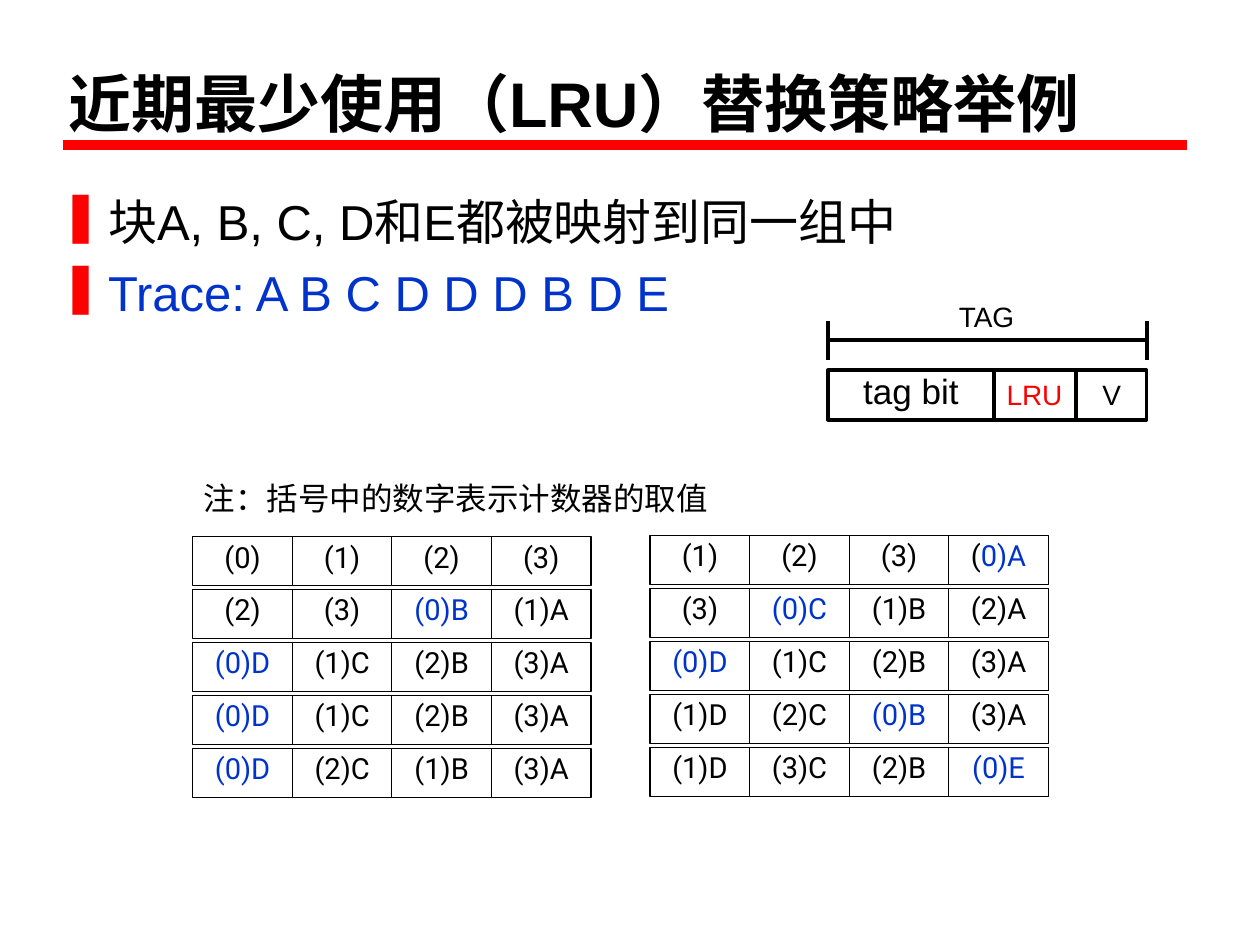
from dataclasses import dataclass

from lxml.etree import SubElement as Sub
from pptx import Presentation
from pptx.dml.color import RGBColor as RGB
from pptx.enum.shapes import MSO_CONNECTOR as Conn, MSO_SHAPE as Shape
from pptx.enum.text import MSO_ANCHOR as Anchor, MSO_AUTO_SIZE as Auto, PP_ALIGN as Align
from pptx.oxml.ns import qn
from pptx.util import Inches, Pt


@dataclass(frozen=True)
class Theme:
    black: str = "000000"
    red: str = "FF0000"
    blue: str = "0033CC"
    latin: str = "Arial"
    han: str = "Noto Sans CJK SC"
    grid: str = "Roboto"
    title: float = 36
    body: float = 28
    big: float = 20
    note: float = 18
    cell: float = 16.6
    small: float = 16


class Pen:
    def __init__(self, slide, theme):
        self.slide, self.theme = slide, theme
        self.home = slide.shapes

    def group(self):
        """Send the next elements into a new group."""
        self.home = self.slide.shapes.add_group_shape().shapes

    def leave(self):
        """Send the next elements straight to the slide."""
        self.home = self.slide.shapes

    def words(self, para, text, size, color=None, font=None, bold=False):
        """Add a styled run to the paragraph."""
        run = para.add_run()
        run.text = text
        look = {"name": font or self.theme.latin, "size": Pt(size), "bold": bold}
        for key, val in look.items():
            setattr(run.font, key, val)
        run.font.color.rgb = RGB.from_string(color or self.theme.black)
        Sub(run.font._element, qn("a:ea"), typeface=self.theme.han)

    def frame(self, shape, **form):
        """Apply the shared text frame settings and return the frame."""
        frame = shape.text_frame
        base = {"word_wrap": True, "auto_size": Auto.NONE, "vertical_anchor": Anchor.TOP}
        for key, val in {**base, **form}.items():
            setattr(frame, key, val)
        return frame

    def title(self, text, box):
        shape = self.slide.shapes.title
        for key, val in zip(("left", "top", "width", "height"), box):
            setattr(shape, key, Inches(val))
        para = self.frame(shape, vertical_anchor=Anchor.BOTTOM).paragraphs[0]
        para.alignment = Align.LEFT
        self.words(para, text, self.theme.title, bold=True)

    def label(self, text, box, size, align=Align.LEFT, **look):
        shape = self.home.add_textbox(*map(Inches, box))
        para = self.frame(shape).paragraphs[0]
        para.alignment = align
        self.words(para, text, size, **look)

    def points(self, items, box):
        """Add a bulleted list of (text, colour) items."""
        frame = self.frame(self.home.add_textbox(*map(Inches, box)))
        for num, (text, color) in enumerate(items):
            para = frame.add_paragraph() if num else frame.paragraphs[0]
            para.alignment, para.space_before = Align.JUSTIFY, Pt(7)
            props = para._p.get_or_add_pPr()
            for key, val in {"marL": 0.38, "indent": -0.38}.items():
                props.set(key, str(Inches(val)))
            tint = Sub(props, qn("a:buClr"))
            Sub(tint, qn("a:srgbClr"), val=self.theme.red)
            Sub(props, qn("a:buChar"), char="❚")
            self.words(para, text, self.theme.body, color)

    def line(self, x1, y1, x2, y2, width=2.25, color=None):
        line = self.home.add_connector(Conn.STRAIGHT, *map(Inches, (x1, y1, x2, y2)))
        line.line.width = Pt(width)
        line.line.color.rgb = RGB.from_string(color or self.theme.black)
        Sub(line._element.spPr, qn("a:effectLst"))

    def rect(self, box, width):
        shape = self.home.add_shape(Shape.RECTANGLE, *map(Inches, box))
        shape.shadow.inherit = False
        shape.fill.background()
        shape.line.width = Pt(width)
        shape.line.color.rgb = RGB.from_string(self.theme.black)
        return shape

    def cell(self, text, box):
        """Draw a cell; the part of its text after * is blue."""
        para = self.frame(self.rect(box, 0.75)).paragraphs[0]
        para.alignment, para.line_spacing = Align.CENTER, 0.9
        plain, _, fresh = text.partition("*")
        for part, color in ((plain, self.theme.black), (fresh, self.theme.blue)):
            if part:
                self.words(para, part, self.theme.cell, color, self.theme.grid)

    def rows(self, data, left, top):
        wide, high, pitch = 0.79, 0.39, 0.42
        for row, texts in enumerate(data):
            self.group()
            for col, text in enumerate(texts.split()):
                self.cell(text, (left + col * wide, top + row * pitch, wide, high))
        self.leave()


ODD = [
    "(0) (1) (2) (3)",
    "(2) (3) *(0)B (1)A",
    "*(0)D (1)C (2)B (3)A",
    "*(0)D (1)C (2)B (3)A",
    "*(0)D (2)C (1)B (3)A",
]
EVEN = [
    "(1) (2) (3) (*0)A",
    "(3) *(0)C (1)B (2)A",
    "*(0)D (1)C (2)B (3)A",
    "(1)D (2)C *(0)B (3)A",
    "(1)D (3)C (2)B *(0)E",
]


def tag(pen):
    """Draw the tag layout with its width mark."""
    theme = pen.theme
    left, right, top, base = 6.57, 9.1, 2.94, 3.33
    pen.group()
    pen.rect((left, top, right - left, base - top), 2.25)
    for x in (7.89, 8.54):
        pen.line(x, top, x, base)
    pen.label("V", (8.65, 2.95, 0.47, 0.37), theme.small)
    pen.label("LRU", (7.89, 2.95, 0.69, 0.37), theme.small, color=theme.red)
    pen.label("tag bit", (6.7, 2.88, 1.06, 0.44), theme.big, Align.CENTER)
    for x in (left, right):
        pen.line(x, 2.55, x, 2.86)
    pen.line(left, 2.7, right, 2.7)
    pen.label("TAG", (7.3, 2.33, 1.06, 0.37), theme.small, Align.CENTER)
    pen.leave()


def main():
    deck = Presentation()
    deck.slide_width, deck.slide_height = Inches(10), Inches(7.5)
    theme = Theme()
    pen = Pen(deck.slides.add_slide(deck.slide_layouts[5]), theme)
    pen.title("近期最少使用（LRU）替换策略举例", (0.44, -0.09, 8.97, 1.25))
    pen.line(0.5, 1.15, 9.42, 1.15, 6, theme.red)
    pen.points([
        ("块A, B, C, D和E都被映射到同一组中", theme.black),
        ("Trace: A B C D D D B D E", theme.blue),
    ], (0.38, 1.47, 9.11, 4.79))
    tag(pen)
    pen.rows(ODD, 1.53, 4.26)
    pen.rows(EVEN, 5.16, 4.25)
    pen.label("注：括号中的数字表示计数器的取值", (1.52, 3.75, 4.42, 0.4),
              theme.note, font=theme.han)
    deck.save("out.pptx")


if __name__ == "__main__":
    main()
